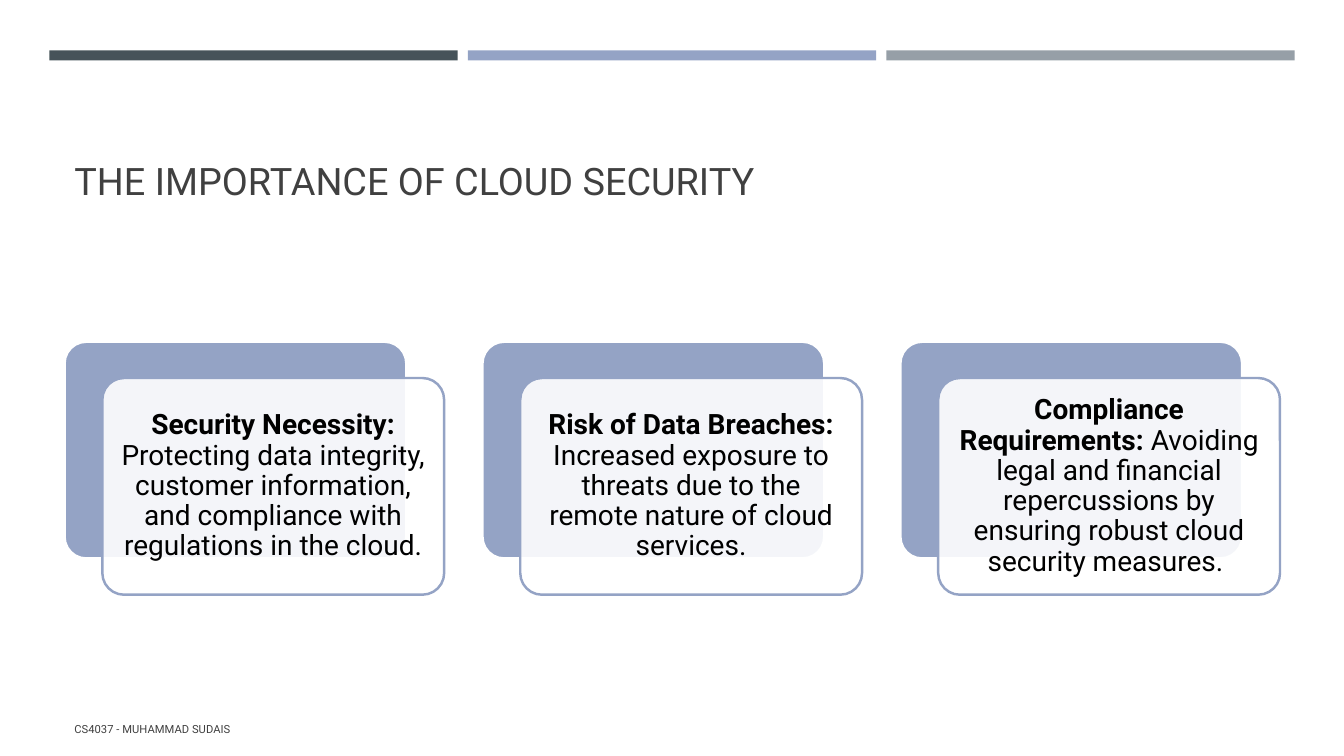
"""Build the slide on the importance of cloud security."""
from lxml import etree
from pptx import Presentation
from pptx import util as u
from pptx.dml.color import RGBColor
from pptx.enum import shapes, text
from pptx.oxml.ns import qn

BLUE, GREY = "94A3C5", "404040"
CENTER, LEFT = text.PP_ALIGN.CENTER, text.PP_ALIGN.LEFT
MIDDLE, BOTTOM = text.MSO_ANCHOR.MIDDLE, text.MSO_ANCHOR.BOTTOM


def add_block(kind, box, fill, line=None):
    sp = s.shapes.add_shape(kind, *[u.Inches(v) for v in box])
    sp.shadow.inherit = False
    sp.fill.solid()
    sp.fill.fore_color.rgb = RGBColor.from_string(fill)
    if line:
        sp.line.color.rgb = RGBColor.from_string(line)
        sp.line.width = u.Pt(1.75)
        sp.adjustments[0] = 0.1
    else:
        sp.line.fill.background()
    return sp


def write(sp, runs, size, color, align, anchor, spacing):
    tf = sp.text_frame
    tf.word_wrap, tf.vertical_anchor = True, anchor
    p = tf.paragraphs[0]
    p.alignment, p.line_spacing = align, spacing
    for words, bold in runs:
        r = p.add_run()
        r.text = words
        fmt = {"name": "Roboto", "size": u.Pt(size), "bold": bold}
        for key, value in fmt.items():
            setattr(r.font, key, value)
        r.font.color.rgb = RGBColor.from_string(color)
    return tf


prs = Presentation()
prs.slide_width, prs.slide_height = u.Inches(13.33), u.Inches(7.5)
s = prs.slides.add_slide(prs.slide_layouts[6])

for i, color in enumerate(["465359", BLUE, "969FA7"]):
    add_block(shapes.MSO_SHAPE.RECTANGLE, (0.49 + 4.15 * i, 0.5, 4.05, 0.1), color)

labels = [
    ("THE IMPORTANCE OF CLOUD SECURITY", (0.64, 0.77, 12.06, 1.3), 27, BOTTOM, 0.9),
    ("CS4037 - MUHAMMAD SUDAIS", (0.64, 7.03, 7.56, 0.4), 8, MIDDLE, 1.0),
]
for words, box, size, anchor, spacing in labels:
    sp = s.shapes.add_textbox(*[u.Inches(v) for v in box])
    write(sp, [(words, False)], size, GREY, LEFT, anchor, spacing)

cards = [
    ("Security Necessity:", " Protecting data integrity, customer information, "
     "and compliance with regulations in the cloud."),
    ("Risk of Data Breaches:", " Increased exposure to threats due to the "
     "remote nature of cloud services."),
    ("Compliance Requirements:", " Avoiding legal and financial repercussions "
     "by ensuring robust cloud security measures. "),
]
for i, (heading, body) in enumerate(cards):
    x = 0.64 + 4.145 * i
    rounded = shapes.MSO_SHAPE.ROUNDED_RECTANGLE
    add_block(rounded, (x, 3.39, 3.39, 2.15), BLUE, "FFFFFF")
    card = add_block(rounded, (x + 0.375, 3.75, 3.39, 2.15), "FFFFFF", BLUE)
    fill_color = card.fill._xPr.find(qn("a:solidFill"))[0]
    etree.SubElement(fill_color, qn("a:alpha"), val="90000")
    tf = write(card, [(heading, True), (body, False)], 20, "000000", CENTER, MIDDLE, 0.9)
    for side in ("left", "top", "right", "bottom"):
        setattr(tf, f"margin_{side}", u.Inches(0.08))

prs.save("out.pptx")
